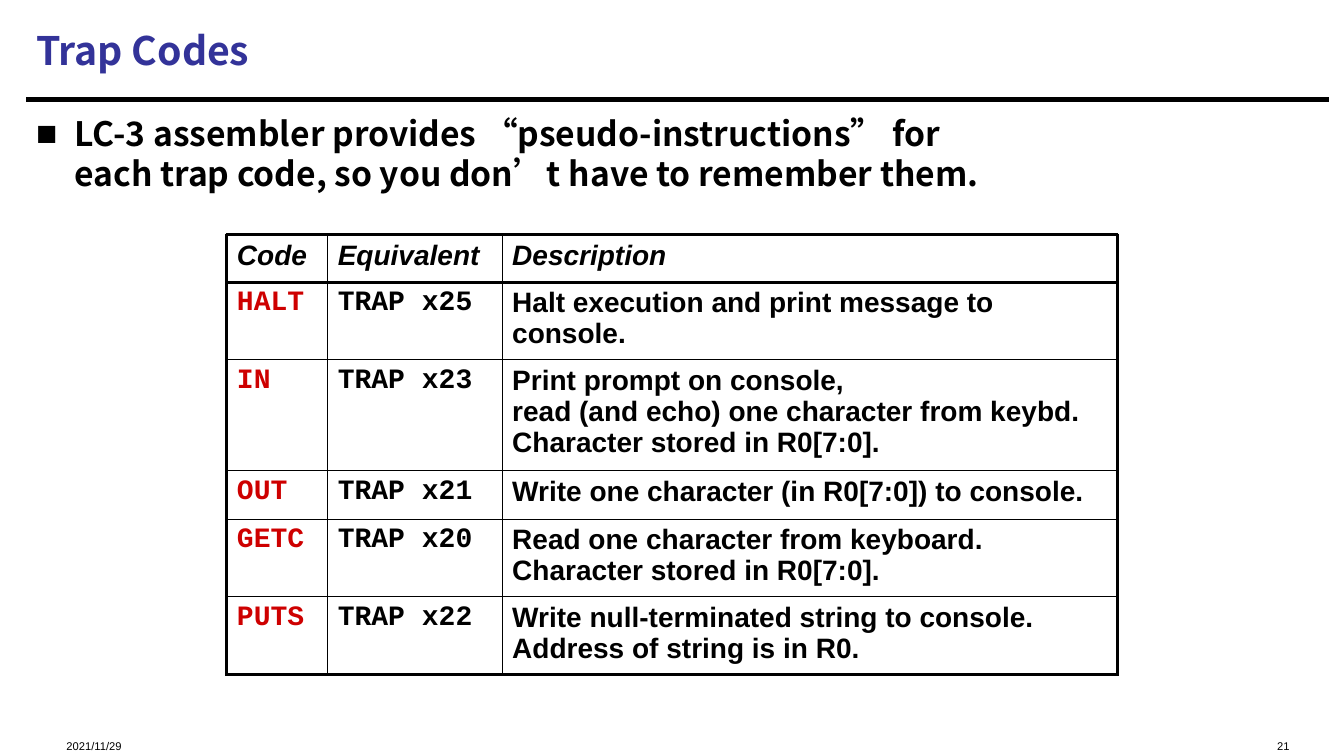
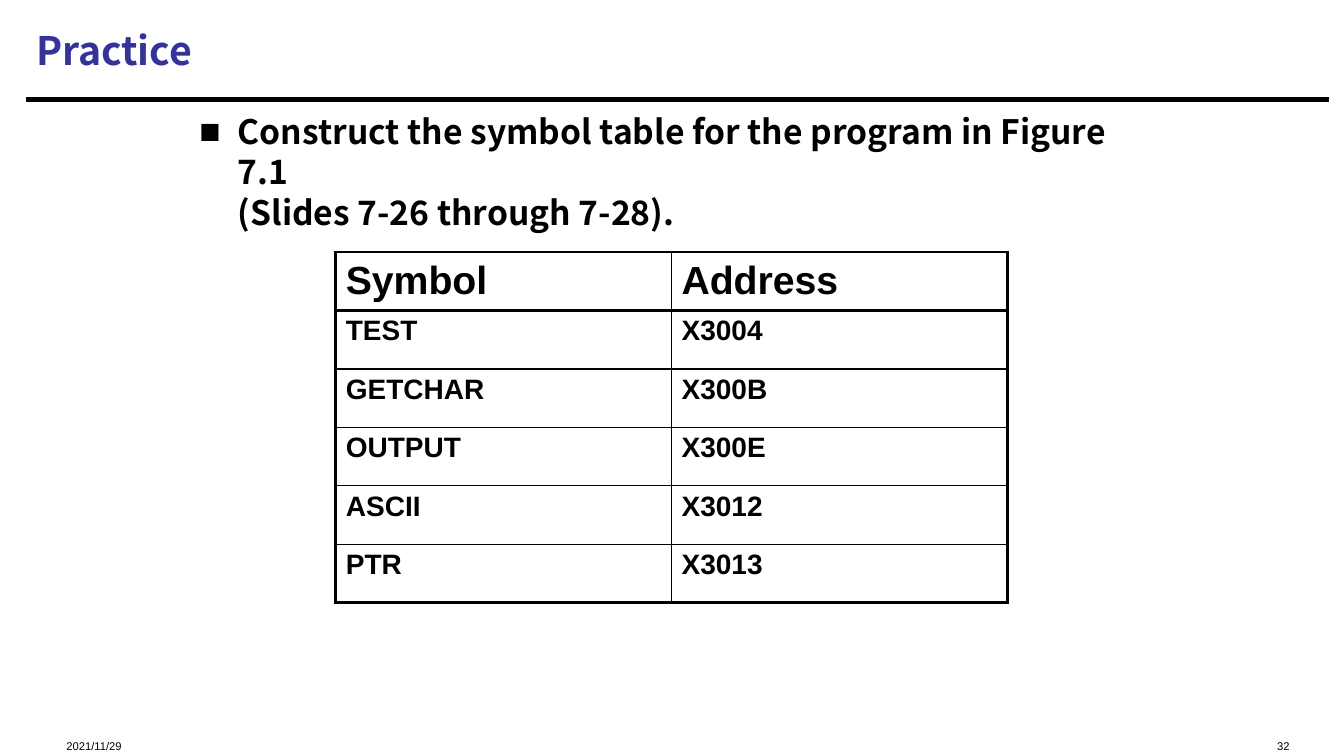
from lxml import etree
from pptx import Presentation
from pptx.dml.color import RGBColor
from pptx.enum.shapes import MSO_CONNECTOR
from pptx.enum.text import MSO_ANCHOR, PP_ALIGN
from pptx.oxml.ns import qn
from pptx.util import Inches, Pt

STRAIGHT = MSO_CONNECTOR.STRAIGHT
TOP, MIDDLE = MSO_ANCHOR.TOP, MSO_ANCHOR.MIDDLE
LEFT, RIGHT = PP_ALIGN.LEFT, PP_ALIGN.RIGHT

BLACK = RGBColor(0x00, 0x00, 0x00)
TITLE_BLUE = RGBColor(0x33, 0x33, 0x99)
CODE_RED = RGBColor(0xCE, 0x00, 0x00)

HEADING_FONT = "Noto Sans CJK SC"
TITLE = {"name": HEADING_FONT, "size": Pt(28), "bold": True}
BODY = {"name": HEADING_FONT, "size": Pt(24), "bold": True}
FOOTER = {"name": "Arial", "size": Pt(8)}
CELL = {"name": "Arial", "size": Pt(20), "bold": True}
CODE = {**CELL, "name": "Courier New"}
ITALIC_HEAD = {**CELL, "italic": True}
LARGE_HEAD = {**CELL, "size": Pt(28)}

THIN, THICK = Pt(1), Pt(2.25)
DATE = "2021/11/29"

TRAP_ROWS = [
    ("Code", "Equivalent", "Description"),
    ("HALT", "TRAP x25", "Halt execution and print message to console."),
    ("IN", "TRAP x23", "Print prompt on console,\vread (and echo) one character "
                       "from keybd.\vCharacter stored in R0[7:0]."),
    ("OUT", "TRAP x21", "Write one character (in R0[7:0]) to console."),
    ("GETC", "TRAP x20", "Read one character from keyboard.\v"
                         "Character stored in R0[7:0]."),
    ("PUTS", "TRAP x22", "Write null-terminated string to console.\v"
                         "Address of string is in R0."),
]
SYMBOL_ROWS = [
    ("Symbol", "Address"),
    ("TEST", "X3004"),
    ("GETCHAR", "X300B"),
    ("OUTPUT", "X300E"),
    ("ASCII", "X3012"),
    ("PTR", "X3013"),
]


def write(paragraph, text, style, color=BLACK):
    """Fill a paragraph; a vertical tab in the text is a line break."""
    paragraph.text = text
    for run in paragraph.runs:
        for attribute, value in style.items():
            setattr(run.font, attribute, value)
        run.font.color.rgb = color
        east_asian = etree.SubElement(run.font._element, qn("a:ea"))
        east_asian.set("typeface", style["name"])


def add_text(slide, box, text, style, color=BLACK, align=LEFT, anchor=TOP):
    frame = slide.shapes.add_textbox(*map(Inches, box)).text_frame
    frame.word_wrap = True
    frame.vertical_anchor = anchor
    paragraph = frame.paragraphs[0]
    paragraph.alignment = align
    write(paragraph, text, style, color)
    return paragraph


def add_bullet(slide, box, text):
    paragraph = add_text(slide, box, text, BODY)
    # Square bullet with a hanging indent
    properties = paragraph._p.get_or_add_pPr()
    properties.set("marL", str(Inches(0.38)))
    properties.set("indent", str(-Inches(0.38)))
    for tag, attribute, value in (("a:buSzPct", "val", "105000"),
                                  ("a:buFont", "typeface", "Arial"),
                                  ("a:buChar", "char", "■")):
        etree.SubElement(properties, qn(tag)).set(attribute, value)


def set_borders(cell, widths):
    properties = cell._tc.get_or_add_tcPr()
    for side, width in widths.items():
        line = etree.SubElement(properties, qn(f"a:ln{side}"), w=str(width))
        fill = etree.SubElement(line, qn("a:solidFill"))
        etree.SubElement(fill, qn("a:srgbClr"), val=str(BLACK))


def add_grid(slide, left, top, widths, heights, rows, head_style,
             head_anchor=TOP, column_styles=None):
    """Table with a thick frame, a thick rule under its head, thin inner lines."""
    table = slide.shapes.add_table(
        len(rows), len(widths), Inches(left), Inches(top),
        Inches(sum(widths)), Inches(sum(heights))).table
    table.first_row = table.horz_banding = False
    for column, width in zip(table.columns, widths):
        column.width = Inches(width)
    last_row, last_column = len(rows) - 1, len(widths) - 1
    column_styles = column_styles or [(CELL, BLACK)] * len(widths)
    for r, values in enumerate(rows):
        table.rows[r].height = Inches(heights[r])
        for c, value in enumerate(values):
            cell = table.cell(r, c)
            cell.vertical_anchor = TOP if r else head_anchor
            style, color = column_styles[c] if r else (head_style, BLACK)
            write(cell.text_frame.paragraphs[0], value, style, color)
            set_borders(cell, {
                "L": THICK if c == 0 else THIN,
                "R": THICK if c == last_column else THIN,
                "T": THICK if r <= 1 else THIN,
                "B": THICK if r in (0, last_row) else THIN,
            })
            cell.fill.background()


def add_base_slide(deck, title, number):
    """Slide with the shared title, rule and footer."""
    slide = deck.slides.add_slide(deck.slide_layouts[6])
    rule = slide.shapes.add_connector(
        STRAIGHT, Inches(0.26), Inches(0.99), Inches(13.18), Inches(0.99))
    rule.line.color.rgb = BLACK
    rule.line.width = Pt(3.75)
    etree.SubElement(rule._element.spPr, qn("a:effectLst"))
    add_text(slide, (0.56, 7.29, 3.33, 0.2), DATE, FOOTER)
    add_text(slide, (8.89, 7.29, 4, 0.2), number, FOOTER, align=RIGHT)
    add_text(slide, (0.26, 0.07, 12.89, 0.84), title, TITLE, TITLE_BLUE,
             anchor=MIDDLE)
    return slide


def add_trap_codes(deck):
    slide = add_base_slide(deck, "Trap Codes", "21")
    add_bullet(slide, (0.26, 1.07, 12.89, 1.1),
               "LC-3 assembler provides “pseudo-instructions” for\v"
               "each trap code, so you don’t have to remember them.")
    add_grid(slide, 2.25, 2.33, [1, 1.73, 6.1],
             [0.47, 0.77, 1.1, 0.48, 0.77, 0.77], TRAP_ROWS, ITALIC_HEAD,
             column_styles=[(CODE, CODE_RED), (CODE, BLACK), (CELL, BLACK)])


def add_practice(deck):
    slide = add_base_slide(deck, "Practice", "32")
    add_bullet(slide, (1.88, 1.05, 9.67, 1.4),
               "Construct the symbol table for the program in Figure 7.1\v"
               "(Slides 7-26 through 7-28).")
    add_grid(slide, 3.33, 2.5, [3.33] * 2, [0.58] * len(SYMBOL_ROWS),
             SYMBOL_ROWS, LARGE_HEAD, head_anchor=MIDDLE)


def main():
    deck = Presentation()
    deck.slide_width, deck.slide_height = Inches(13.33), Inches(7.5)
    add_trap_codes(deck)
    add_practice(deck)
    deck.save("out.pptx")


if __name__ == "__main__":
    main()
